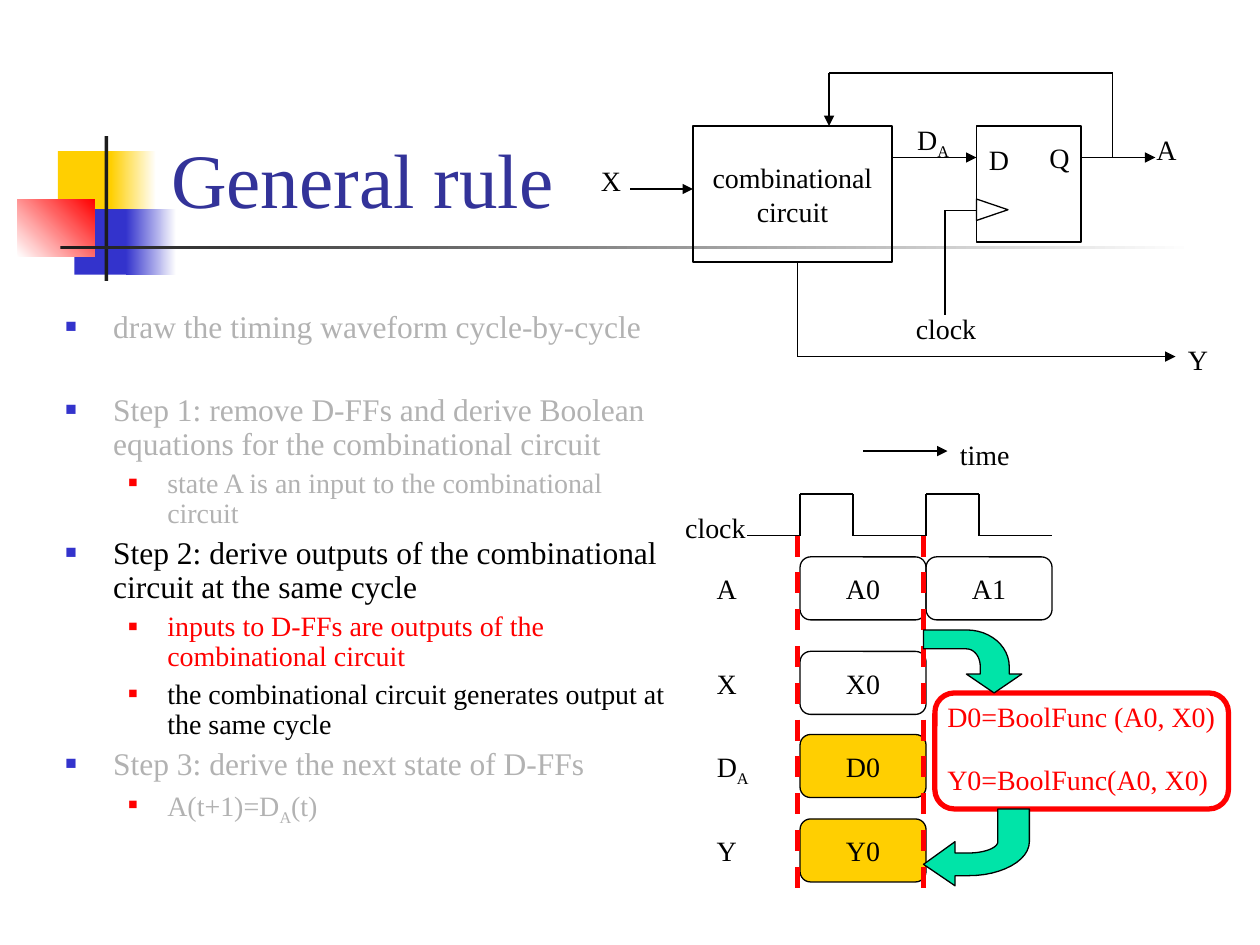
from dataclasses import dataclass
from itertools import pairwise
from typing import Any

from lxml.etree import SubElement
from pptx import Presentation
from pptx.dml.color import RGBColor
from pptx.enum.dml import MSO_LINE
from pptx.enum.shapes import MSO_CONNECTOR, MSO_SHAPE as Preset
from pptx.enum.text import MSO_ANCHOR as Anchor, MSO_AUTO_SIZE as AutoSize, PP_ALIGN as Align
from pptx.oxml.ns import qn
from pptx.util import Inches, Pt

BLACK = RGBColor(0x00, 0x00, 0x00)
CHARCOAL = RGBColor(0x1C, 0x1C, 0x1C)
WHITE = RGBColor(0xFF, 0xFF, 0xFF)
GRAY = RGBColor(0xB2, 0xB2, 0xB2)
RED = RGBColor(0xFF, 0x00, 0x00)
YELLOW = RGBColor(0xFF, 0xCF, 0x01)
BLUE = RGBColor(0x33, 0x33, 0xCC)
NAVY = RGBColor(0x33, 0x33, 0x99)
GREEN = RGBColor(0x00, 0xE4, 0xA8)
FONT = "Times New Roman"


def add_runs(paragraph, pieces, size, color):
    """Pieces alternate between normal text and subscript."""
    for index, piece in enumerate(pieces):
        run = paragraph.add_run()
        run.text = piece
        run.font.name, run.font.size = FONT, Pt(size)
        run.font.color.rgb = color
        if index % 2:
            run._r.get_or_add_rPr().set("baseline", "-25000")


def paint(shape, fill=None, line=None, width=0.75):
    shape.shadow.inherit = False
    if fill is None:
        shape.fill.background()
    else:
        shape.fill.solid()
        shape.fill.fore_color.rgb = fill
    if line is None:
        shape.line.fill.background()
    else:
        shape.line.color.rgb = line
        shape.line.width = Pt(width)


def curve(start, *controls, steps=12):
    """Points along a cubic curve, without its start."""
    points = (start, *controls)
    weights = [((1 - t) ** 3, 3 * t * (1 - t) ** 2, 3 * t * t * (1 - t), t ** 3)
               for t in (step / steps for step in range(1, steps + 1))]
    return [tuple(sum(w * p[axis] for w, p in zip(row, points)) for axis in (0, 1))
            for row in weights]


@dataclass
class Region:
    """A part of the slide; positions are inches from its top left corner."""
    shapes: Any
    left: float
    top: float

    def place(self, x, y):
        return Inches(self.left + x), Inches(self.top + y)

    def shape(self, preset, x, y, w, h, **style):
        shape = self.shapes.add_shape(preset, *self.place(x, y), Inches(w), Inches(h))
        paint(shape, **style)
        return shape

    def block(self, preset, x, y, w, h, rows, fill=None):
        block = self.shape(preset, x, y, w, h, fill=fill, line=BLACK)
        frame = block.text_frame
        frame.word_wrap, frame.vertical_anchor = False, Anchor.MIDDLE
        for index, row in enumerate(rows):
            paragraph = frame.add_paragraph() if index else frame.paragraphs[0]
            paragraph.alignment = Align.CENTER
            add_runs(paragraph, [row], 16, BLACK)

    def label(self, x, y, *pieces, w=0.36, color=BLACK):
        h = 0.37
        if len(pieces) > 1:  # room for a subscript
            w, h = 0.45, 0.41
        box = self.shapes.add_textbox(*self.place(x, y), Inches(w), Inches(h))
        box.text_frame.word_wrap = False
        box.text_frame.auto_size = AutoSize.SHAPE_TO_FIT_TEXT
        add_runs(box.text_frame.paragraphs[0], pieces, 16, color)

    def wire(self, *points, arrow=False, color=BLACK, width=0.75, dash=None):
        for start, end in pairwise(points):
            wire = self.shapes.add_connector(
                MSO_CONNECTOR.STRAIGHT, *self.place(*start), *self.place(*end))
            wire.line.color.rgb, wire.line.width = color, Pt(width)
            if dash:
                wire.line.dash_style = dash
            if arrow and end == points[-1]:
                SubElement(wire.line._get_or_add_ln(), qn("a:tailEnd"), type="triangle")
            SubElement(wire._element.spPr, qn("a:effectLst"))

    def outline(self, points, **style):
        first, *rest = [self.place(*point) for point in points]
        builder = self.shapes.build_freeform(*first)
        builder.add_line_segments(rest, close=True)
        paint(builder.convert_to_shape(), **style)


def add_decoration(area):
    for x, y, w, h, start, end, angle in (
            (0.32, 0.12, 0.48, 0.52, YELLOW, None, 0),
            (0.74, 0.12, 0.36, 0.52, YELLOW, WHITE, 0),
            (0.45, 0.58, 0.46, 0.52, BLUE, None, 0),
            (0.86, 0.58, 0.40, 0.52, BLUE, WHITE, 0),
            (0, 0.5, 0.61, 0.46, WHITE, RED, 45),
            (0.69, 0, 0.03, 1.15, CHARCOAL, None, 0),
            (0.34, 0.87, 9, 0.03, CHARCOAL, WHITE, 0)):
        patch = area.shape(Preset.RECTANGLE, x, y, w, h, fill=start)
        if end is not None:
            patch.fill.gradient()
            patch.fill.gradient_angle = angle
            for stop, color in zip(patch.fill.gradient_stops, (start, end)):
                stop.color.rgb = color


def add_title(area, w, h):
    title = area.shapes.add_textbox(*area.place(0, 0), Inches(w), Inches(h)).text_frame
    title.word_wrap, title.vertical_anchor = True, Anchor.BOTTOM
    add_runs(title.paragraphs[0], ["General rule"], 44, NAVY)


def add_steps(area, w, h):
    # Per level: indent, hanging, text size, space before, bullet colour, bullet size
    levels = ((0.38, 0.38, 18, 4.5, BLUE, 60), (0.81, 0.31, 16, 4, RED, 55))
    steps = (
        (0, GRAY, ["draw the timing waveform cycle-by-cycle"]),
        (0, GRAY, ["Step 1: remove D-FFs and derive Boolean equations for the combinational circuit"]),
        (1, GRAY, ["state A is an input to the combinational circuit"]),
        (0, BLACK, ["Step 2: derive outputs of the combinational circuit at the same cycle"]),
        (1, RED, ["inputs to D-FFs are outputs of the combinational circuit"]),
        (1, BLACK, ["the combinational circuit generates output at the same cycle"]),
        (0, GRAY, ["Step 3: derive the next state of D-FFs"]),
        (1, GRAY, ["A(t+1)=D", "A", "(t)"]))
    frame = area.shapes.add_textbox(*area.place(0, 0), Inches(w), Inches(h)).text_frame
    frame.word_wrap = True
    for index, (level, color, pieces) in enumerate(steps):
        indent, hanging, size, before, bullet_color, bullet_size = levels[level]
        paragraph = frame.add_paragraph() if index else frame.paragraphs[0]
        props = paragraph._p.get_or_add_pPr()
        props.set("marL", str(Inches(indent)))
        props.set("indent", str(-Inches(hanging)))
        SubElement(SubElement(props, qn("a:buClr")), qn("a:srgbClr"), val=str(bullet_color))
        SubElement(props, qn("a:buSzPct"), val=str(bullet_size * 1000))
        SubElement(props, qn("a:buFont"), typeface=FONT)
        SubElement(props, qn("a:buChar"), char="■")
        paragraph.level, paragraph.line_spacing = level, 0.9
        # The introduction stands apart from the steps
        paragraph.space_before = Pt({0: 0, 1: 28}.get(index, before))
        add_runs(paragraph, pieces, size, color)


def add_circuit(area):
    # Logic block and flip-flop
    area.block(Preset.RECTANGLE, 0.83, 0.42, 1.58, 1.08, ["combinational", "circuit"])
    area.shape(Preset.RECTANGLE, 3.08, 0.42, 0.83, 0.92, line=BLACK)
    clock_input = area.shape(Preset.ISOSCELES_TRIANGLE, 3.12, 0.96, 0.17, 0.25, line=BLACK)
    clock_input.rotation = 90
    # Wires
    area.wire((2.41, 0.67), (3.08, 0.67), arrow=True)
    area.wire((3.08, 1.09), (2.83, 1.09), (2.83, 1.92))
    area.wire((3.91, 0.67), (4.5, 0.67), arrow=True)
    area.wire((4.16, 0.67), (4.16, 0), (1.91, 0), (1.91, 0.42), arrow=True)
    area.wire((1.66, 1.5), (1.66, 2.25), (4.66, 2.25), arrow=True)
    area.wire((0.33, 0.92), (0.83, 0.92), arrow=True)
    # Signal names
    for x, y, name in ((3.08, 0.5, "D"), (3.56, 0.49, "Q"), (4.41, 0.42, "A"),
                       (2.51, 0.34, "DA"), (4.66, 2.09, "Y"), (0, 0.67, "X")):
        area.label(x, y, *name)
    area.label(2.5, 1.84, "clock", w=0.7)


def add_waveform(area):
    area.wire((1.51, 0.16), (2.18, 0.16), arrow=True)
    area.label(2.18, 0, "time", w=0.64)
    # Clock
    area.label(0, 0.58, "clock", w=0.7)
    area.wire((0.59, 0.83), (1.01, 0.83))
    for rise in (1.01, 2.01):
        fall = rise + 0.42
        area.wire((rise, 0.83), (rise, 0.5), (fall, 0.5), (fall, 0.83), (rise + 1, 0.83))
    # Signal values in each cycle
    for y, name, values, fill in ((1, "A", ["A0", "A1"], None), (1.75, "X", ["X0"], None),
                                  (2.41, "DA", ["D0"], YELLOW), (3.08, "Y", ["Y0"], YELLOW)):
        area.label(0.25, y + 0.07, *name)
        for cycle, value in enumerate(values):
            area.block(Preset.ROUNDED_RECTANGLE, 1.01 + cycle, y, 1, 0.5, [value], fill)
    # Cycle borders
    for x in (0.99, 1.99):
        area.wire((x, 0.83), (x, 3.66), color=RED, width=3, dash=MSO_LINE.DASH)


def add_functions(area):
    for y, function in ((0.5, "D0=BoolFunc (A0, X0)"), (1, "Y0=BoolFunc(A0, X0)")):
        area.label(0.09, y, function, w=2.4, color=RED)
    area.shape(Preset.ROUNDED_RECTANGLE, 0.09, 0.5, 2.33, 0.92, line=RED, width=3)
    # Bent arrows into and out of the functions
    arrow_in = [(0.56, 0.5), (0.78, 0.35), (0.68, 0.35), (0.68, 0.29),
                *curve((0.68, 0.29), (0.68, 0.13), (0.53, 0), (0.34, 0)),
                (0, 0), (0, 0.15), (0.34, 0.15),
                *curve((0.34, 0.15), (0.4, 0.15), (0.45, 0.21), (0.45, 0.29)),
                (0.45, 0.35), (0.34, 0.35)]
    arrow_out = [(0, 1.86), (0.25, 2.03), (0.25, 1.95), (0.36, 1.95),
                 *curve((0.36, 1.95), (0.62, 1.95), (0.84, 1.83), (0.84, 1.68)),
                 (0.84, 1.42), (0.59, 1.42), (0.59, 1.68),
                 *curve((0.59, 1.68), (0.59, 1.73), (0.48, 1.77), (0.36, 1.77)),
                 (0.25, 1.77), (0.25, 1.68)]
    for arrow in (arrow_in, arrow_out):
        area.outline(arrow, fill=GREEN, line=BLACK)


def main():
    deck = Presentation()
    deck.slide_width, deck.slide_height = Inches(10), Inches(7.5)
    shapes = deck.slides.add_slide(deck.slide_layouts[6]).shapes
    add_decoration(Region(shapes, 0.14, 1.08))
    add_title(Region(shapes, 1.26, 0.23), 8.52, 1.6)
    add_steps(Region(shapes, 0.42, 2.42), 5.08, 4.5)
    add_circuit(Region(shapes, 4.67, 0.58))
    add_waveform(Region(shapes, 5.34, 3.42))
    add_functions(Region(shapes, 7.33, 5))
    deck.save("out.pptx")


if __name__ == "__main__":
    main()
